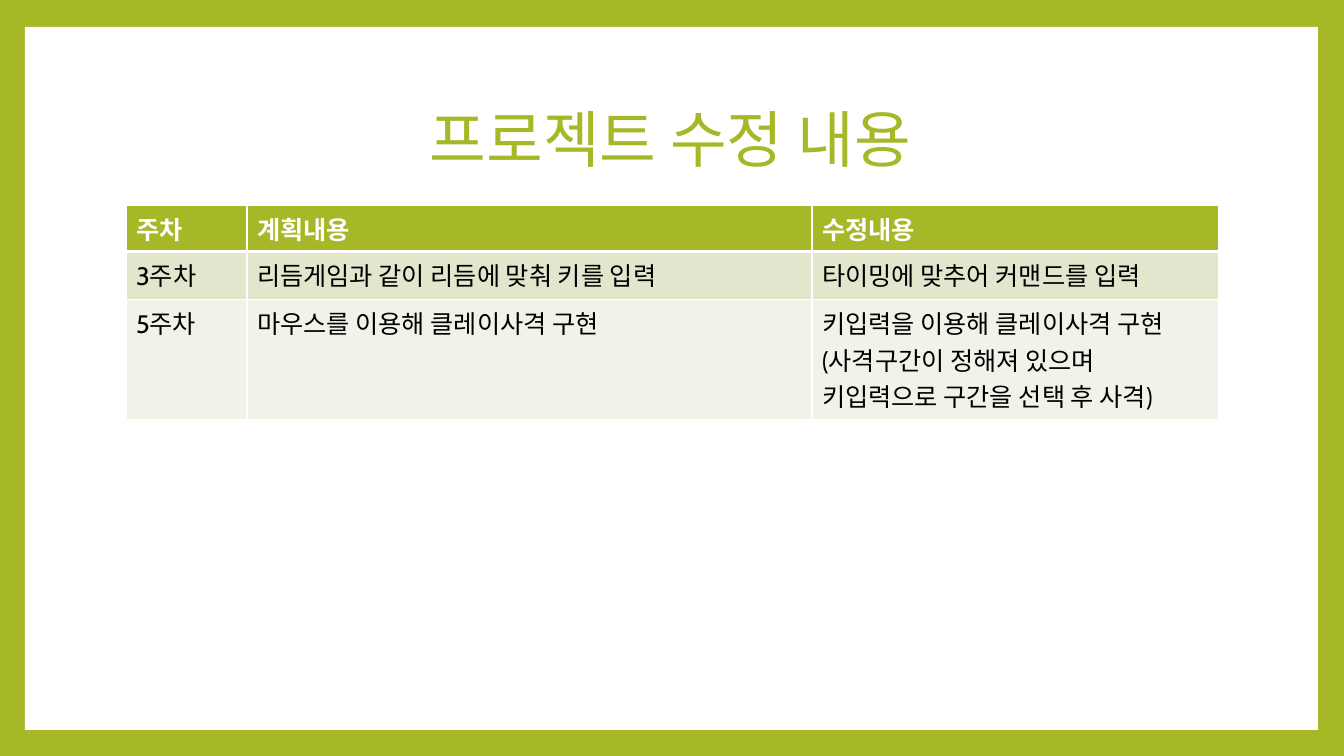
from typing import NamedTuple

from lxml import etree
from pptx import Presentation
from pptx import util as u
from pptx.dml.color import RGBColor
from pptx.enum import shapes, text
from pptx.oxml import ns

SCALE = 914400 / 100.8
FONT = "Cabin"
GREEN = RGBColor(0xA6, 0xB7, 0x27)
WHITE = RGBColor(0xFF, 0xFF, 0xFF)
BLACK = RGBColor(0, 0, 0)
SAGE = RGBColor(0xE1, 0xE6, 0xCD)
PALE = RGBColor(0xF1, 0xF3, 0xE8)


class Box(NamedTuple):
    """Place and size in pixels."""
    left: int
    top: int
    width: int
    height: int


class Row(NamedTuple):
    """One table row: its height in pixels, its look and its texts."""
    height: int
    fill: RGBColor
    ink: RGBColor
    bold: bool
    above: int
    below: int
    texts: tuple[str, str, str]


WIDTHS = (121, 565, 407)
ROWS = (
    Row(45, GREEN, WHITE, True, 1, 3, ("주차", "계획내용", "수정내용")),
    Row(48, SAGE, BLACK, False, 3, 1,
        ("3주차", "리듬게임과 같이 리듬에 맞춰 키를 입력", "타이밍에 맞추어 커맨드를 입력")),
    Row(119, PALE, BLACK, False, 1, 1,
        ("5주차", "마우스를 이용해 클레이사격 구현",
         "키입력을 이용해 클레이사격 구현\n"
         "(사격구간이 정해져 있으며 키입력으로 구간을 선택 후 사격)")),
)


def px(count: int) -> u.Emu:
    """Turn pixels into EMU."""
    return u.Emu(round(count * SCALE))


def place(box: Box) -> list[u.Emu]:
    """Turn a box into EMU lengths."""
    return [px(side) for side in box]


def style(para, size: int, ink: RGBColor, bold: bool = False) -> None:
    """Set the font of a paragraph."""
    font = para.font
    font.name, font.size, font.bold = FONT, u.Pt(size), bold
    font.color.rgb = ink


def edge(cell, side: str, width: int) -> None:
    """Add a white border on one side of a cell."""
    line = etree.SubElement(cell._tc.get_or_add_tcPr(), ns.qn(f"a:ln{side}"),
                            w=str(u.Pt(width)))
    fill = etree.SubElement(line, ns.qn("a:solidFill"))
    etree.SubElement(fill, ns.qn("a:srgbClr"), val=str(WHITE))


def add_frame(slide) -> None:
    """Draw the green border around a white panel."""
    back = slide.background.fill
    back.solid()
    back.fore_color.rgb = GREEN
    panel = slide.shapes.add_shape(shapes.MSO_SHAPE.RECTANGLE,
                                   *place(Box(25, 27, 1293, 703)))
    panel.shadow.inherit = False
    panel.fill.solid()
    panel.fill.fore_color.rgb = WHITE
    panel.line.fill.background()
    # The panel lies behind the title.
    slide.shapes._spTree.insert(2, panel._element)


def add_title(slide, words: str) -> None:
    """Fill and move the title placeholder."""
    title = slide.shapes.title
    title.left, title.top, title.width, title.height = place(
        Box(126, 68, 1089, 149))
    frame = title.text_frame
    frame.text = words
    frame.vertical_anchor = text.MSO_ANCHOR.MIDDLE
    para = frame.paragraphs[0]
    para.alignment = text.PP_ALIGN.CENTER
    para.line_spacing = 0.9
    style(para, 44, GREEN)


def add_plan(slide) -> None:
    """Draw the table of planned and changed content."""
    box = Box(126, 205, sum(WIDTHS), sum(row.height for row in ROWS))
    table = slide.shapes.add_table(len(ROWS), len(WIDTHS), *place(box)).table
    table.horz_banding = False
    for column, width in zip(table.columns, WIDTHS):
        column.width = px(width)
    for line, row in zip(table.rows, ROWS):
        line.height = px(row.height)
        for cell, words in zip(line.cells, row.texts):
            cell.text = words
            for para in cell.text_frame.paragraphs:
                style(para, 18, row.ink, row.bold)
            for side, width in zip("LRTB", (1, 1, row.above, row.below)):
                edge(cell, side, width)
            cell.fill.solid()
            cell.fill.fore_color.rgb = row.fill


def main() -> None:
    """Build the slide and save it."""
    deck = Presentation()
    deck.slide_width, deck.slide_height = px(1344), px(756)
    slide = deck.slides.add_slide(deck.slide_layouts[5])
    add_frame(slide)
    add_title(slide, "프로젝트 수정 내용")
    add_plan(slide)
    deck.save("out.pptx")


main()
